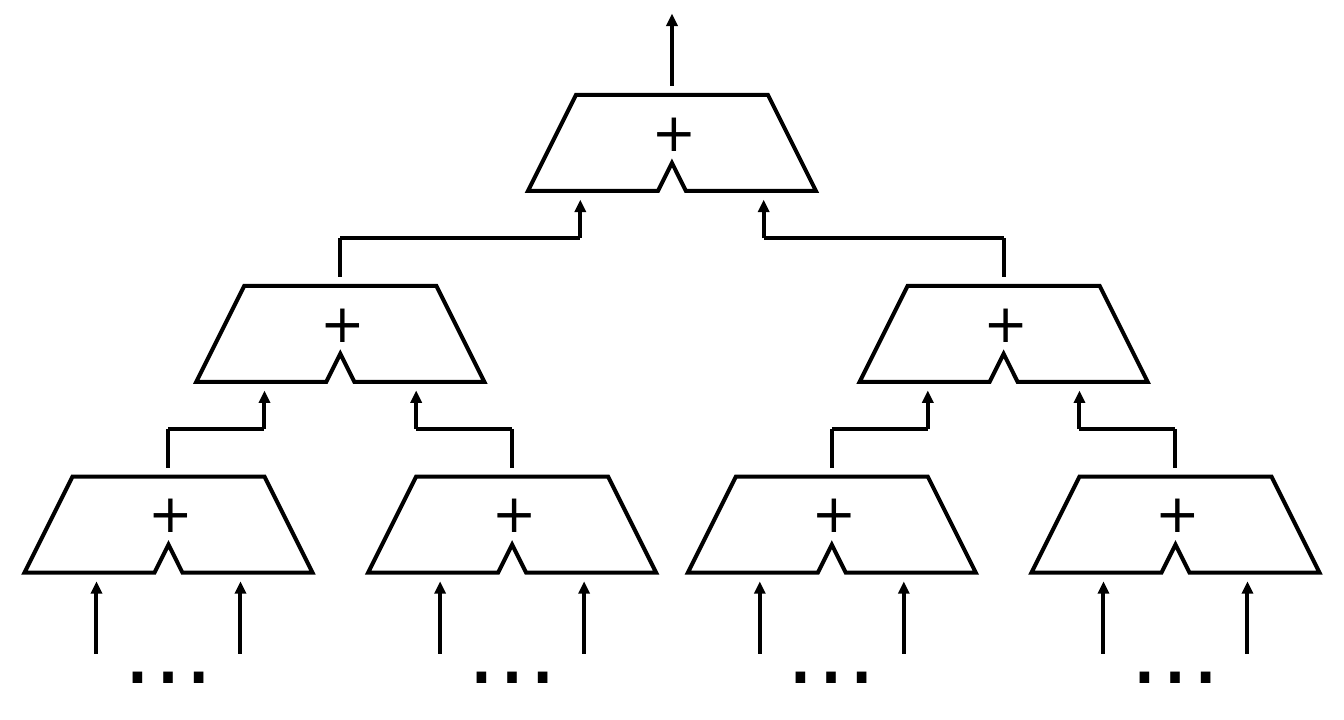
"""Build a slide with a binary tree of adders."""
import pptx
import pptx.dml.color
import pptx.enum.shapes
import pptx.enum.text
import pptx.oxml.ns
import pptx.util
from lxml import etree

Pt = pptx.util.Pt
BLACK = pptx.dml.color.RGBColor(0, 0, 0)
FONT = "DejaVu Sans"
LINE_WIDTH = 6

PAGE_WIDTH, PAGE_HEIGHT = 2016, 1080
ADDER_WIDTH, ADDER_HEIGHT, ADDER_SLANT = 432, 144, 72
NOTCH_HALF, NOTCH_HEIGHT = 21, 42
ROOT_TOP, LEVEL_PITCH = 142.5, 286.25
GAP = 13.5
ARROW_LENGTH = 108
INPUT_OFFSET = 108
# Per level below the root: child offset from its parent, length of the bus
BRANCHES = [(497.5, 360), (257.75, 144)]


def add_line_detail(shape, tag, **attributes):
    """Append a join or arrowhead element to the outline of a shape."""
    outline = shape.line._get_or_add_ln()
    etree.SubElement(outline, pptx.oxml.ns.qn(tag), **attributes)


def style_line(shape):
    """Give a shape or connector the black stroke."""
    shape.line.color.rgb = BLACK
    shape.line.width = Pt(LINE_WIDTH)


def add_line(page, start, end, arrow=False):
    """Draw a straight line, with an arrowhead at its end if wanted."""
    line = page.shapes.add_connector(
        pptx.enum.shapes.MSO_CONNECTOR.STRAIGHT,
        *(Pt(length) for length in start + end))
    style_line(line)
    if arrow:
        add_line_detail(line, "a:tailEnd", type="triangle")
    properties = line._element.spPr
    etree.SubElement(properties, pptx.oxml.ns.qn("a:effectLst"))


def add_label(page, text, center, top, width, height, size, anchor):
    """Add a centred text box around a horizontal centre."""
    box = page.shapes.add_textbox(
        Pt(center - width / 2), Pt(top), Pt(width), Pt(height))
    frame = box.text_frame
    frame.word_wrap = True
    frame.auto_size = pptx.enum.text.MSO_AUTO_SIZE.SHAPE_TO_FIT_TEXT
    frame.vertical_anchor = anchor
    para = frame.paragraphs[0]
    para.alignment = pptx.enum.text.PP_ALIGN.CENTER
    span = para.add_run()
    span.text = text
    span.font.name = FONT
    span.font.size = Pt(size)
    span.font.color.rgb = BLACK


def add_adder(page, center, top):
    """Draw a notched trapezoid with a plus sign."""
    half, bottom = ADDER_WIDTH / 2, top + ADDER_HEIGHT
    corners = [
        (center - half + ADDER_SLANT, top),
        (center + half - ADDER_SLANT, top),
        (center + half, bottom),
        (center + NOTCH_HALF, bottom),
        (center, bottom - NOTCH_HEIGHT),
        (center - NOTCH_HALF, bottom),
        (center - half, bottom),
    ]
    points = [(Pt(x), Pt(y)) for x, y in corners]
    builder = page.shapes.build_freeform(*points[0])
    builder.add_line_segments(points[1:], close=True)
    adder = builder.convert_to_shape()
    adder.shadow.inherit = False
    adder.fill.background()
    style_line(adder)
    add_line_detail(adder, "a:miter", lim="800000")
    add_label(page, "+", center, top, 75, 104.5, 80,
              pptx.enum.text.MSO_ANCHOR.MIDDLE)


def add_branch(page, child, child_top, target):
    """Lead the output of a child adder up to an input of its parent."""
    parent_bottom = child_top - LEVEL_PITCH + ADDER_HEIGHT
    middle = (parent_bottom + child_top) / 2
    add_line(page, (child, child_top - GAP), (child, middle))
    add_line(page, (child, middle), (target, middle))
    add_line(page, (target, middle), (target, parent_bottom + GAP), arrow=True)


def add_inputs(page, center, bottom):
    """Draw the two input arrows of a leaf adder and the dots between."""
    tip = bottom + GAP
    for x in (center - INPUT_OFFSET, center + INPUT_OFFSET):
        add_line(page, (x, tip + ARROW_LENGTH), (x, tip), arrow=True)
    add_label(page, "…", center, bottom + 25, 360, 174, 138,
              pptx.enum.text.MSO_ANCHOR.TOP)


def add_tree(page, center, level=0):
    """Draw an adder and, recursively, everything that feeds it."""
    top = ROOT_TOP + level * LEVEL_PITCH
    add_adder(page, center, top)
    if level == len(BRANCHES):
        add_inputs(page, center, top + ADDER_HEIGHT)
        return
    offset, bus = BRANCHES[level]
    for side in (-1, 1):
        child = center + side * offset
        add_branch(page, child, top + LEVEL_PITCH, child - side * bus)
        add_tree(page, child, level + 1)


def main():
    """Build and save the deck."""
    deck = pptx.Presentation()
    deck.slide_width, deck.slide_height = Pt(PAGE_WIDTH), Pt(PAGE_HEIGHT)
    page = deck.slides.add_slide(deck.slide_layouts[6])
    root = PAGE_WIDTH / 2
    output = ROOT_TOP - GAP
    add_line(page, (root, output), (root, output - ARROW_LENGTH), arrow=True)
    add_tree(page, root)
    deck.save("out.pptx")


main()
